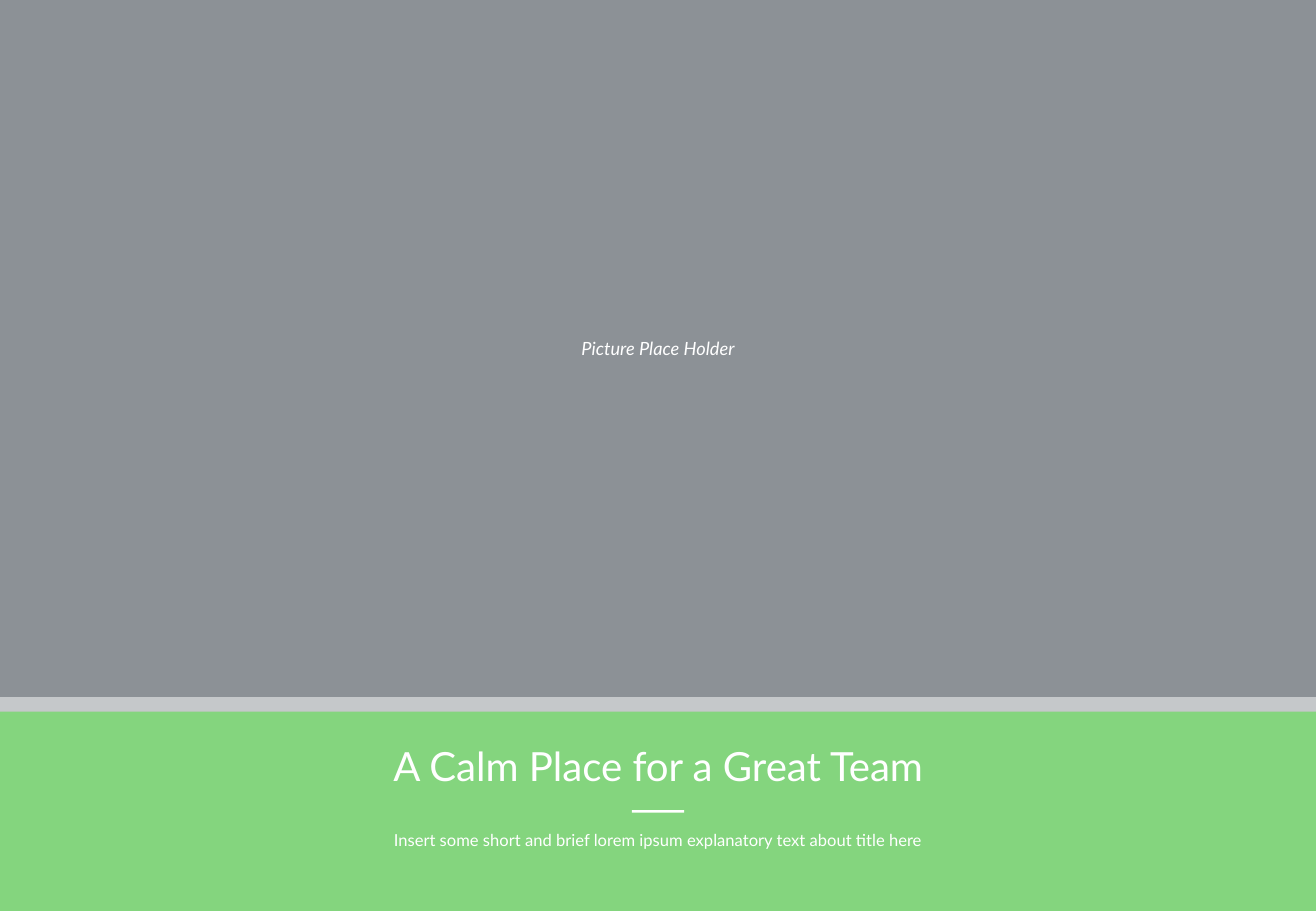
from pptx import Presentation
from pptx.dml.color import RGBColor
from pptx.enum import shapes, text
from pptx.oxml.ns import qn
from pptx.util import Inches, Pt
from lxml import etree

# Content
TITLE = "A Calm Place for a Great Team"
SUBTITLE = "Insert some short and brief lorem ipsum explanatory text about title here"
PHOTO_LABEL = "Picture Place Holder"

COLORS = {"page": "FAFAFA", "photo": "8C9196", "white": "FFFFFF", "green": "81D67A"}
FONT = "Lato"
WIDTH, HEIGHT = 10.83, 7.5

# Bands from back to front: top, colour, opacity in percent
BANDS = [
    (0, "photo", 100),
    (5.74, "white", 50),
    (5.86, "green", 95),
]


def color(name):
    return RGBColor.from_string(COLORS[name])


def centered_left(width):
    return (WIDTH - width) / 2


def add_bar(slide, left, top, width, height, fill, opacity=100):
    bar = slide.shapes.add_shape(shapes.MSO_SHAPE.RECTANGLE, Inches(left),
                                 Inches(top), Inches(width), Inches(height))
    bar.shadow.inherit = False
    bar.line.fill.background()
    bar.fill.solid()
    bar.fill.fore_color.rgb = color(fill)
    if opacity < 100:
        tint = bar._element.spPr.find(qn("a:solidFill"))[0]
        etree.SubElement(tint, qn("a:alpha"), val=str(opacity * 1000))


def write_centered(box, words, top, width, height, size, bottom=0, italic=False):
    box.left, box.top = Inches(centered_left(width)), Inches(top)
    box.width, box.height = Inches(width), Inches(height)
    frame = box.text_frame
    frame.word_wrap = True
    frame.auto_size = text.MSO_AUTO_SIZE.NONE
    frame.vertical_anchor = text.MSO_ANCHOR.TOP
    frame.margin_left = frame.margin_right = frame.margin_top = 0
    frame.margin_bottom = Inches(bottom)
    line = frame.paragraphs[0]
    line.alignment = text.PP_ALIGN.CENTER
    line.space_before = Pt(0)
    run = line.add_run()
    run.text = words
    run.font.name = FONT
    run.font.size = Pt(size)
    run.font.italic = italic
    run.font.color.rgb = color("white")


def main():
    deck = Presentation()
    deck.slide_width, deck.slide_height = Inches(WIDTH), Inches(HEIGHT)
    slide = deck.slides.add_slide(deck.slide_layouts[0])
    slide.background.fill.solid()
    slide.background.fill.fore_color.rgb = color("page")
    title, subtitle = slide.placeholders

    # Photo area and caption bands, each reaching the slide bottom
    for top, fill, opacity in BANDS:
        add_bar(slide, 0, top, WIDTH, HEIGHT - top, fill, opacity)

    # Label in the photo area
    photo_label = slide.shapes.add_textbox(0, 0, 0, 0)
    write_centered(photo_label, PHOTO_LABEL, 2.78, 3.49, 0.18, 10.8, italic=True)

    # Title and subtitle, raised above the bands
    for box, words, top, height, size in [
        (title, TITLE, 6.1, 0.47, 23.8),
        (subtitle, SUBTITLE, 6.83, 0.18, 9.8),
    ]:
        slide.shapes._spTree.append(box._element)
        write_centered(box, words, top, 9.1, height, size, bottom=0.11)

    # Short rule between title and subtitle
    add_bar(slide, centered_left(0.43), 6.67, 0.43, 0.02, "white")

    deck.save("out.pptx")


if __name__ == "__main__":
    main()
